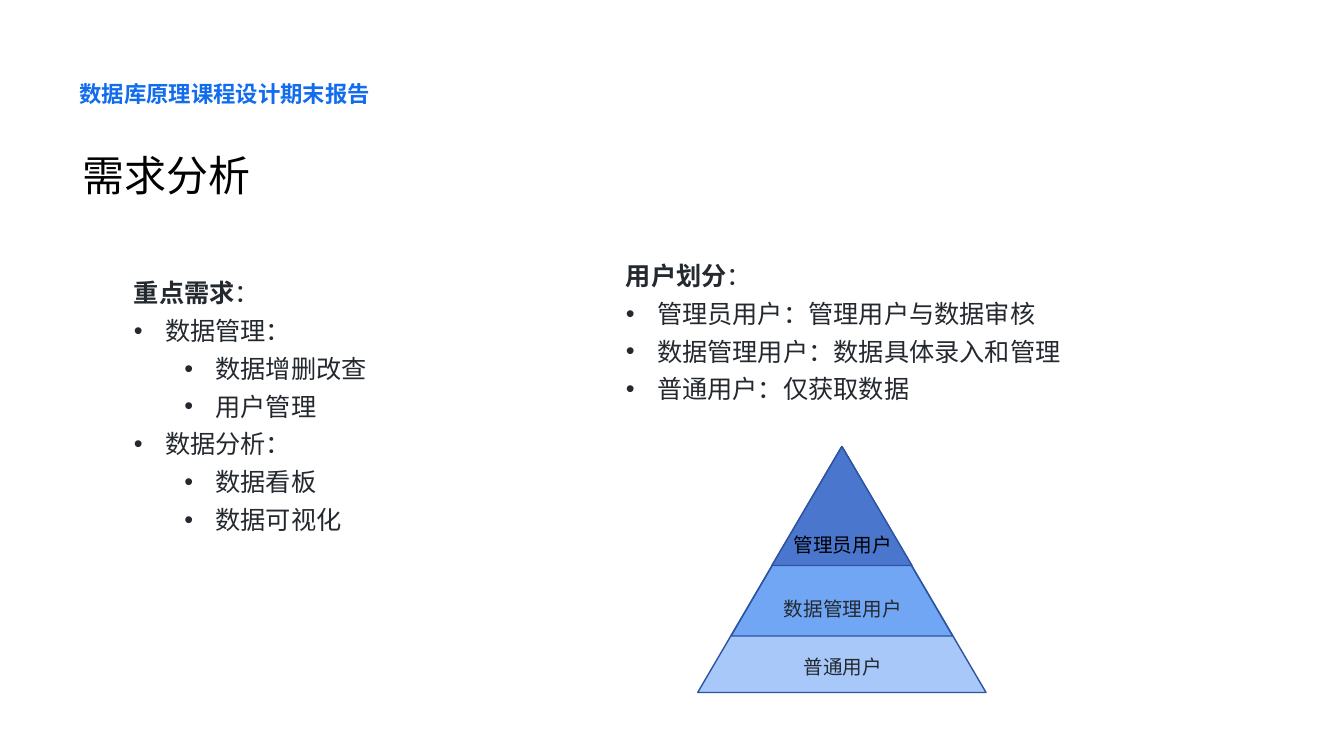
from lxml import etree
from pptx import Presentation
from pptx.dml.color import RGBColor
from pptx.enum.shapes import MSO_SHAPE
from pptx.enum.text import MSO_ANCHOR, PP_ALIGN
from pptx.oxml.ns import qn
from pptx.util import Inches, Pt

TRIANGLE = MSO_SHAPE.ISOSCELES_TRIANGLE
TOP, BOTTOM = MSO_ANCHOR.TOP, MSO_ANCHOR.BOTTOM
LEFT, CENTER = PP_ALIGN.LEFT, PP_ALIGN.CENTER
FONT = "Noto Sans CJK SC"
COLORS = {"blue": "116CEE", "navy": "4874CB", "edge": "2E54A1",
          "ink": "24292F", "black": "000000"}


def add_box(x, y, w, h, inset=True, anchor=TOP):
    tf = s.shapes.add_textbox(Inches(x), Inches(y), Inches(w), Inches(h)).text_frame
    tf.word_wrap = True
    tf.vertical_anchor = anchor
    if not inset:
        tf.margin_left = tf.margin_right = tf.margin_top = tf.margin_bottom = 0
    return tf


def add_run(p, text, size, color, bold=False):
    r = p.add_run()
    r.text = text
    for name, value in {"name": FONT, "size": Pt(size), "bold": bold}.items():
        setattr(r.font, name, value)
    r.font.color.rgb = RGBColor.from_string(COLORS[color])
    etree.SubElement(r.font._element, qn("a:ea"), typeface=FONT)


prs = Presentation()
prs.slide_width, prs.slide_height = Inches(13.33), Inches(7.5)
s = prs.slides.add_slide(prs.slide_layouts[6])

p = add_box(0.79, 0.76, 3.94, 0.3, inset=False, anchor=BOTTOM).paragraphs[0]
p.line_spacing = 0.8
add_run(p, "数据库原理课程设计期末报告", 16, "blue", True)

p = add_box(0.72, 1.43, 11.68, 0.6).paragraphs[0]
add_run(p, "需求分析", 30, "black")

lists = [
    (6.11, 2.46, 4.97, 1.61, "用户划分", [
        (0, "管理员用户：管理用户与数据审核"),
        (0, "数据管理用户：数据具体录入和管理"),
        (0, "普通用户：仅获取数据")]),
    (1.23, 2.63, 2.93, 2.75, "重点需求", [
        (0, "数据管理："), (1, "数据增删改查"), (1, "用户管理"),
        (0, "数据分析："), (1, "数据看板"), (1, "数据可视化")]),
]
for x, y, w, h, heading, items in lists:
    tf = add_box(x, y, w, h)
    p = tf.paragraphs[0]
    p.line_spacing = 1.25
    add_run(p, heading, 18, "ink", True)
    add_run(p, "：", 18, "ink")
    for level, text in items:
        p = tf.add_paragraph()
        p.level = level
        p.line_spacing = 1.25
        pPr = p._p.get_or_add_pPr()
        pPr.set("marL", str(Inches(0.31 + 0.5 * level)))
        pPr.set("indent", str(-Inches(0.31)))
        etree.SubElement(pPr, qn("a:buFont"), typeface="Arial")
        etree.SubElement(pPr, qn("a:buChar"), char="•")
        add_run(p, text, 18, "ink")

APEX_X, APEX_Y = 8.35, 4.43
for w, h, color, opacity in [(2.86, 2.44, "blue", 37), (2.2, 1.88, "blue", 36),
                             (1.39, 1.18, "navy", 95)]:
    sp = s.shapes.add_shape(TRIANGLE, Inches(APEX_X - w / 2), Inches(APEX_Y),
                            Inches(w), Inches(h))
    sp.shadow.inherit = False
    sp.fill.solid()
    sp.fill.fore_color.rgb = RGBColor.from_string(COLORS[color])
    fill_color = sp._element.spPr.find(qn("a:solidFill"))[0]
    etree.SubElement(fill_color, qn("a:alpha"), val=str(opacity * 1000))
    sp.line.color.rgb = RGBColor.from_string(COLORS["edge"])
    sp.line.width = Pt(1)

for text, y, w, color in [("管理员用户", 5.18, 2.1, "black"),
                          ("数据管理用户", 5.81, 1.4, "ink"),
                          ("普通用户", 6.39, 1.1, "ink")]:
    p = add_box(APEX_X + 0.01 - w / 2, y, w, 0.39).paragraphs[0]
    p.alignment = CENTER
    p.line_spacing = 1.25
    add_run(p, text, 14, color)

prs.save("out.pptx")
